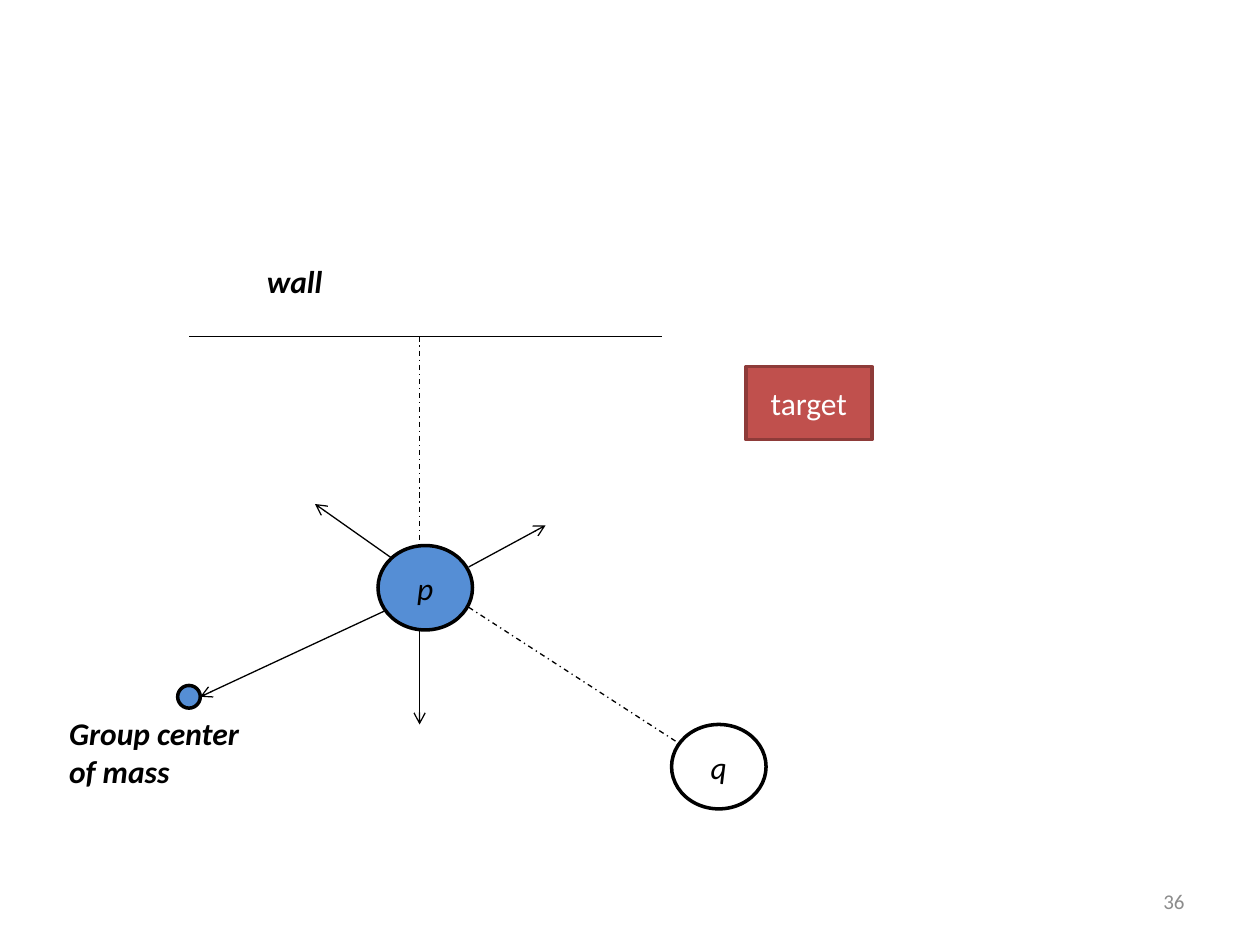
from lxml import etree
from pptx import Presentation
from pptx.dml.color import RGBColor
from pptx.enum import dml, shapes, text
from pptx.oxml.ns import qn
from pptx.util import Inches, Pt

BLACK = RGBColor(0x00, 0x00, 0x00)
WHITE = RGBColor(0xFF, 0xFF, 0xFF)
GRAY = RGBColor(0x8C, 0x8C, 0x8C)
BLUE = RGBColor(0x55, 0x8E, 0xD5)
RED = RGBColor(0xC0, 0x50, 0x4D)
DARK_RED = RGBColor(0x8E, 0x3B, 0x39)
OVAL = shapes.MSO_SHAPE.OVAL
RECT = shapes.MSO_SHAPE.RECTANGLE
ALIGN = text.PP_ALIGN
ANCHOR = text.MSO_ANCHOR


def write(sp, words, align, anchor, color=BLACK, size=18, bold=False, italic=False):
    tf = sp.text_frame
    tf.word_wrap = True
    tf.vertical_anchor = anchor
    tf.text = words
    p = tf.paragraphs[0]
    p.alignment = align
    font = p.runs[0].font
    font.name, font.size = "Calibri", Pt(size)
    font.bold, font.italic = bold, italic
    font.color.rgb = color


def connect(s, start, end, dashed=False, arrow=False):
    cn = s.shapes.add_connector(shapes.MSO_CONNECTOR.STRAIGHT,
                                *[Inches(v) for v in start + end])
    cn.line.color.rgb = BLACK
    cn.line.width = Pt(0.75)
    if dashed:
        cn.line.dash_style = dml.MSO_LINE.DASH_DOT
    if arrow:
        etree.SubElement(cn.line._get_or_add_ln(), qn("a:tailEnd"), type="arrow")
    etree.SubElement(cn._element.spPr, qn("a:effectLst"))


prs = Presentation()
prs.slide_width, prs.slide_height = Inches(10), Inches(7.5)
s = prs.slides.add_slide(prs.slide_layouts[6])

# Agents p and q, target and group center
for kind, box, fill, line, words, color, italic in [
    (OVAL, (3, 4.33, 0.75, 0.67), BLUE, BLACK, "p", BLACK, True),
    (RECT, (5.92, 2.91, 1, 0.58), RED, DARK_RED, "target", WHITE, False),
    (OVAL, (5.33, 5.75, 0.75, 0.67), WHITE, BLACK, "q", BLACK, True),
    (OVAL, (1.41, 5.44, 0.18, 0.18), BLUE, BLACK, None, None, False),
]:
    sp = s.shapes.add_shape(kind, *[Inches(v) for v in box])
    sp.shadow.inherit = False
    sp.fill.solid()
    sp.fill.fore_color.rgb = fill
    sp.line.color.rgb = line
    sp.line.width = Pt(2)
    if words:
        write(sp, words, ALIGN.CENTER, ANCHOR.MIDDLE, color, italic=italic)

# Wall
connect(s, (1.5, 2.67), (5.25, 2.67))

# Distances from p to the wall and to q
connect(s, (3.33, 2.67), (3.33, 4.33), dashed=True)
connect(s, (3.72, 4.82), (5.42, 5.92), dashed=True)

# Forces acting on p
for start, end in [
    ((3.11, 4.43), (2.5, 4)),
    ((3.33, 5), (3.33, 5.75)),
    ((3.72, 4.5), (4.33, 4.17)),
    ((3.05, 4.85), (1.59, 5.53)),
]:
    connect(s, start, end, arrow=True)

# Labels
for words, box in [
    ("wall", (2.02, 2.03, 1, 0.4)),
    ("Group center of mass", (0.45, 5.62, 1.59, 0.71)),
]:
    sp = s.shapes.add_textbox(*[Inches(v) for v in box])
    write(sp, words, ALIGN.LEFT, ANCHOR.TOP, bold=True, italic=True)
    sp.text_frame.auto_size = text.MSO_AUTO_SIZE.SHAPE_TO_FIT_TEXT

# Slide number
sp = s.shapes.add_textbox(Inches(7.17), Inches(6.95), Inches(2.33), Inches(0.4))
write(sp, "36", ALIGN.RIGHT, ANCHOR.MIDDLE, GRAY, size=12)

prs.save("out.pptx")
